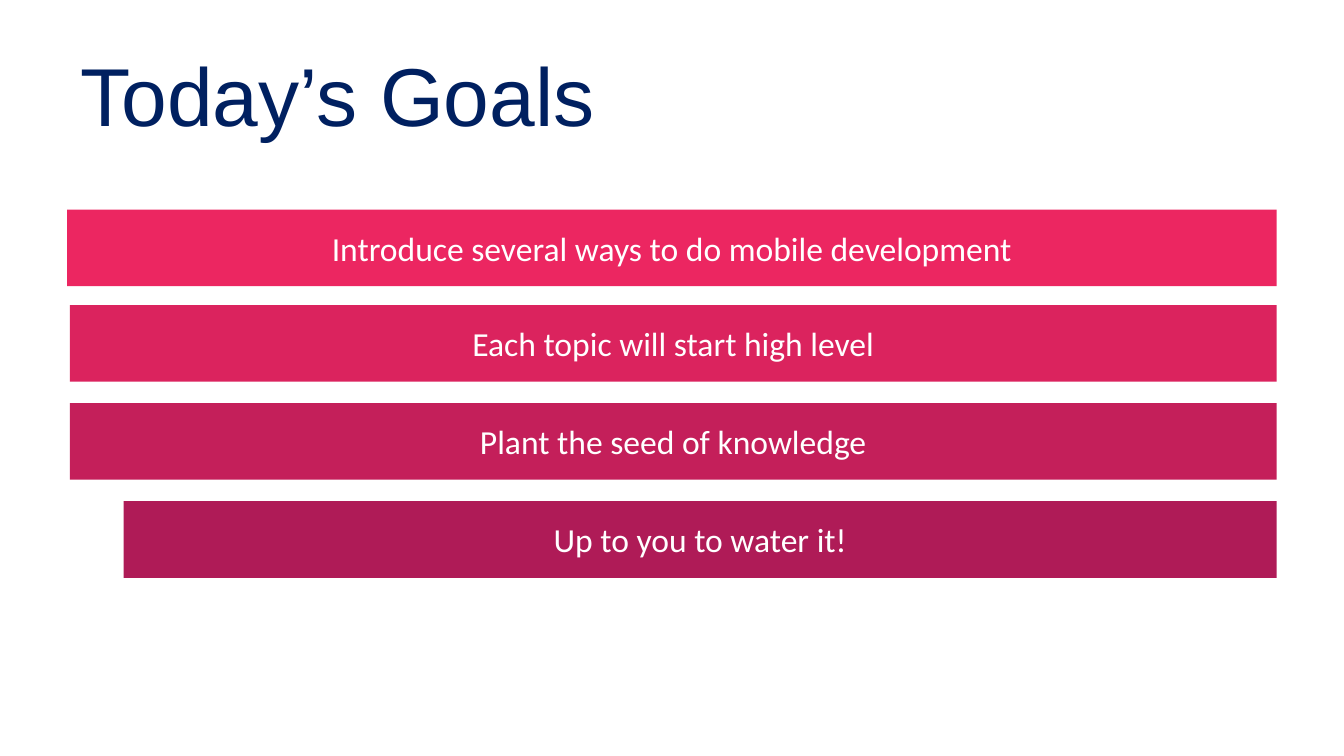
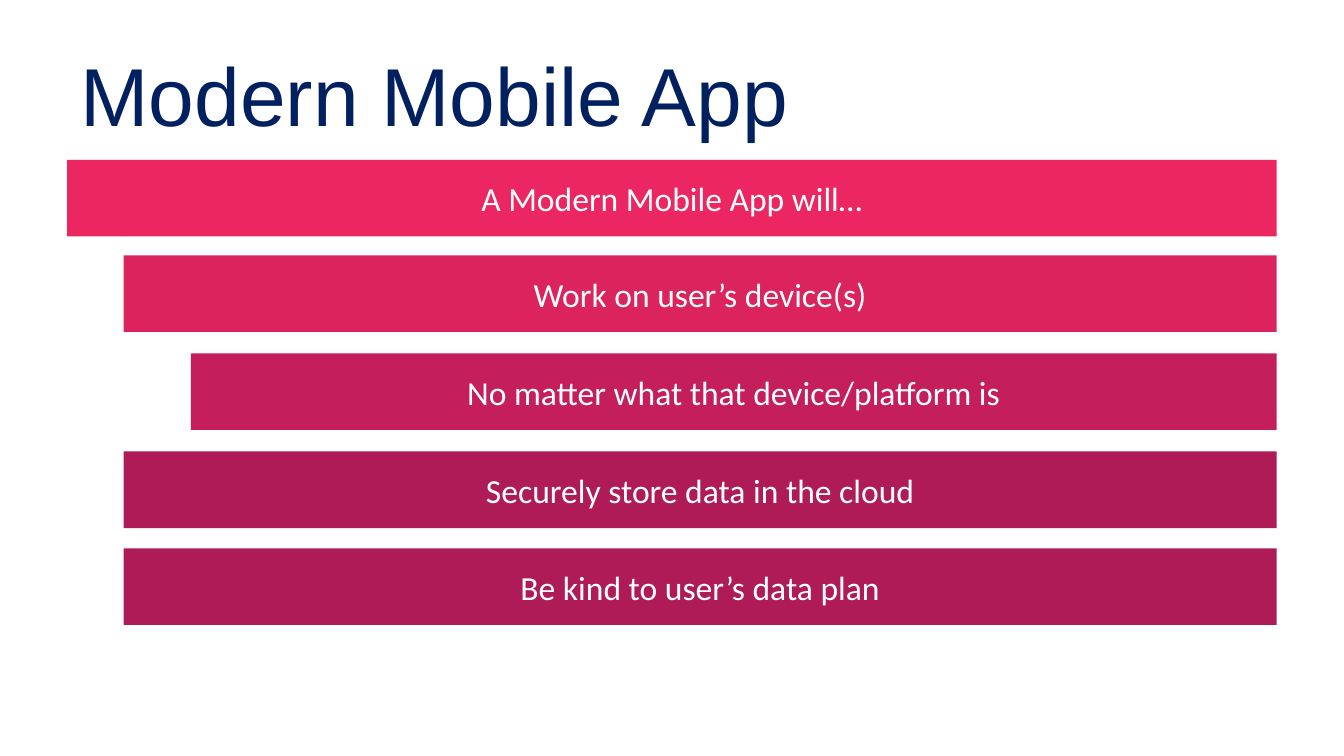
from dataclasses import dataclass

from pptx import Presentation
from pptx.dml.color import RGBColor
from pptx.enum.shapes import MSO_SHAPE
from pptx.enum.text import MSO_ANCHOR, PP_ALIGN
from pptx.util import Inches, Pt


@dataclass(frozen=True)
class Theme:
    background: str = "FFFFFF"
    heading_color: str = "002060"
    heading_font: str = "Arial"
    heading_size: int = 44
    bar_fills: tuple = ("EC2661", "DB235E", "C41F5A", "AF1B57")
    bar_text_color: str = "FFFFFF"
    bar_font: str = "Calibri"
    bar_size: int = 18


@dataclass(frozen=True)
class Box:
    left: float
    top: float
    width: float
    height: float

    def lengths(self):
        return [Inches(n) for n in (self.left, self.top, self.width, self.height)]


THEME = Theme()
SLIDE_WIDTH = 10
SLIDE_HEIGHT = SLIDE_WIDTH * 9 / 16
HEADING_BOX = Box(0.5, 0.23, 9, 0.94)
BAR_HEIGHT = 0.57
BAR_OFFSETS = (0, 0.71, 1.44, 2.17, 2.89)

GOALS = [
    ("Introduce several ways to do mobile development", 0),
    ("Each topic will start high level", 0.02),
    ("Plant the seed of knowledge", 0.02),
    ("Up to you to water it!", 0.42),
]
APP_TRAITS = [
    ("A Modern Mobile App will…", 0),
    ("Work on user’s device(s)", 0.42),
    ("No matter what that device/platform is", 0.92),
    ("Securely store data in the cloud", 0.42),
    ("Be kind to user’s data plan", 0.42),
]


def write_line(frame, wording, font, size, color, alignment):
    frame.word_wrap = True
    frame.vertical_anchor = MSO_ANCHOR.MIDDLE
    line = frame.paragraphs[0]
    line.alignment = alignment
    run = line.add_run()
    run.text = wording
    run.font.name = font
    run.font.size = Pt(size)
    run.font.color.rgb = RGBColor.from_string(color)


def add_heading(slide, box, wording):
    heading = slide.shapes.add_textbox(*box.lengths())
    write_line(heading.text_frame, wording, THEME.heading_font,
               THEME.heading_size, THEME.heading_color, PP_ALIGN.LEFT)


def add_bar(slide, box, wording, fill):
    bar = slide.shapes.add_shape(MSO_SHAPE.RECTANGLE, *box.lengths())
    bar.shadow.inherit = False
    bar.fill.solid()
    bar.fill.fore_color.rgb = RGBColor.from_string(fill)
    bar.line.fill.background()
    write_line(bar.text_frame, wording, THEME.bar_font,
               THEME.bar_size, THEME.bar_text_color, PP_ALIGN.CENTER)


def add_bar_stack(slide, box, points):
    last_fill = len(THEME.bar_fills) - 1
    for row, ((wording, indent), offset) in enumerate(zip(points, BAR_OFFSETS)):
        bar_box = Box(box.left + indent, box.top + offset,
                      box.width - indent, BAR_HEIGHT)
        add_bar(slide, bar_box, wording, THEME.bar_fills[min(row, last_fill)])


def add_points_slide(deck, heading, points, stack_top):
    slide = deck.slides.add_slide(deck.slide_layouts[6])
    slide.background.fill.solid()
    slide.background.fill.fore_color.rgb = RGBColor.from_string(THEME.background)
    add_heading(slide, HEADING_BOX, heading)
    stack_height = BAR_OFFSETS[len(points) - 1] + BAR_HEIGHT
    stack_box = Box(HEADING_BOX.left, stack_top, HEADING_BOX.width, stack_height)
    add_bar_stack(slide, stack_box, points)


def main():
    deck = Presentation()
    deck.slide_width = Inches(SLIDE_WIDTH)
    deck.slide_height = Inches(SLIDE_HEIGHT)
    add_points_slide(deck, "Today’s Goals", GOALS, 1.56)
    add_points_slide(deck, "Modern Mobile App", APP_TRAITS, 1.19)
    deck.save("out.pptx")


if __name__ == "__main__":
    main()
